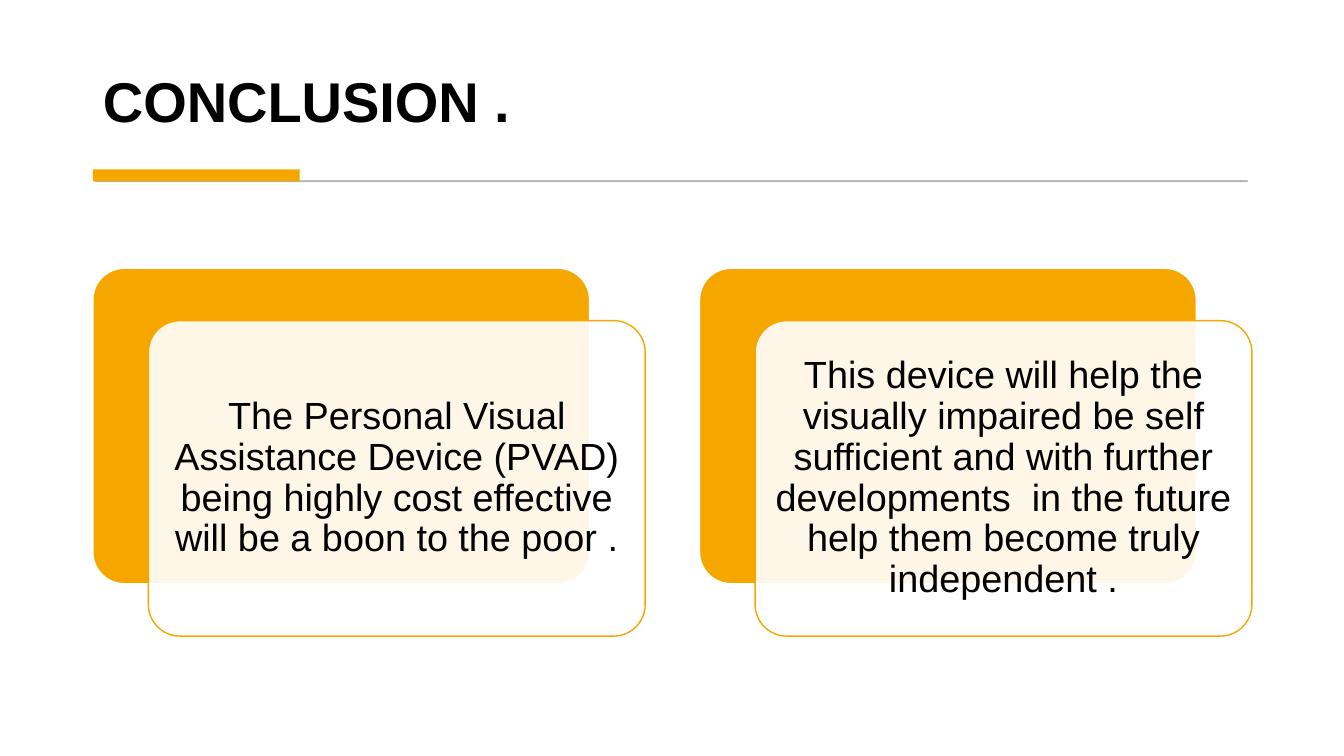
from lxml import etree
from pptx import Presentation
from pptx.dml.color import RGBColor
from pptx.enum.shapes import MSO_SHAPE
from pptx.enum.text import MSO_ANCHOR, MSO_AUTO_SIZE, PP_ALIGN
from pptx.oxml.ns import qn
from pptx.util import Cm, Pt

RECT = MSO_SHAPE.RECTANGLE
ROUNDED = MSO_SHAPE.ROUNDED_RECTANGLE
BOTTOM, MIDDLE = MSO_ANCHOR.BOTTOM, MSO_ANCHOR.MIDDLE
LEFT, CENTER = PP_ALIGN.LEFT, PP_ALIGN.CENTER
NO_FIT = MSO_AUTO_SIZE.NONE

FONT = "Arial"
BLACK, WHITE, GREY, AMBER = "000000", "FFFFFF", "595959", "F5A700"
TITLE_LEFT = 2.34
CARD_TOP, CARD_WIDTH, CARD_HEIGHT = 6.76, 12.52, 7.95
CARD_PITCH = 15.29
FRONT_DX, FRONT_DY = 1.4, 1.32
CARDS = [
    "The Personal Visual Assistance Device (PVAD) being highly cost effective "
    "will be a boon to the poor .",
    "This device will help the visually impaired be self sufficient and with "
    "further developments  in the future help them become truly independent .",
]


def paint(fmt, color, opacity=100):
    """Apply a solid hex colour with an opacity in percent to a fill."""
    fmt.solid()
    fmt.fore_color.rgb = RGBColor.from_string(color)
    if opacity < 100:
        srgb = fmt._xPr.find(qn("a:solidFill")).find(qn("a:srgbClr"))
        etree.SubElement(srgb, qn("a:alpha"), val=str(opacity * 1000))


def add_box(s, kind, box, fill, opacity=100, line=None, line_width=1, line_opacity=100):
    """Add a preset shape at box, given in centimetres."""
    sp = s.shapes.add_shape(kind, *map(Cm, box))
    sp.shadow.inherit = False
    paint(sp.fill, fill, opacity)
    if line:
        sp.line.width = Pt(line_width)
        paint(sp.line.fill, line, line_opacity)
    else:
        sp.line.fill.background()
    return sp


def write(sp, text, size, align, anchor, bold=False):
    """Write one formatted paragraph into a shape."""
    tf = sp.text_frame
    tf.word_wrap = True
    tf.auto_size = NO_FIT
    tf.vertical_anchor = anchor
    p = tf.paragraphs[0]
    p.alignment = align
    p.line_spacing = 0.9
    r = p.add_run()
    r.text = text
    r.font.name = FONT
    r.font.size = Pt(size)
    r.font.bold = bold
    r.font.color.rgb = RGBColor.from_string(BLACK)


def add_title(s, text):
    """Fill the title placeholder and draw the rule below it."""
    sp = s.shapes.title
    sp.left, sp.top, sp.width, sp.height = map(Cm, (TITLE_LEFT, 0.71, 29.18, 2.82))
    write(sp, text, 40, LEFT, BOTTOM, bold=True)
    add_box(s, RECT, (2.41, 4.55, 29.03, 0.03), GREY, 30, GREY, 0.75, 30)
    add_box(s, RECT, (TITLE_LEFT, 4.27, 5.21, 0.3), AMBER)


def add_card(s, left, text):
    """Add an amber backing with an offset translucent text card."""
    back = add_box(s, ROUNDED, (left, CARD_TOP, CARD_WIDTH, CARD_HEIGHT), AMBER, line=WHITE)
    front_box = (left + FRONT_DX, CARD_TOP + FRONT_DY, CARD_WIDTH, CARD_HEIGHT)
    front = add_box(s, ROUNDED, front_box, WHITE, 90, AMBER)
    for sp in (back, front):
        sp.adjustments[0] = 0.1
    tf = front.text_frame
    tf.margin_left = tf.margin_right = tf.margin_top = tf.margin_bottom = Cm(0.28)
    write(front, text, 27, CENTER, MIDDLE)


def main():
    """Build the conclusion slide and save it."""
    prs = Presentation()
    prs.slide_width, prs.slide_height = Cm(33.87), Cm(19.05)
    s = prs.slides.add_slide(prs.slide_layouts.get_by_name("Title Only"))
    paint(s.background.fill, WHITE)
    add_title(s, "CONCLUSION .")
    for i, text in enumerate(CARDS):
        add_card(s, TITLE_LEFT + i * CARD_PITCH, text)
    prs.save("out.pptx")


if __name__ == "__main__":
    main()
